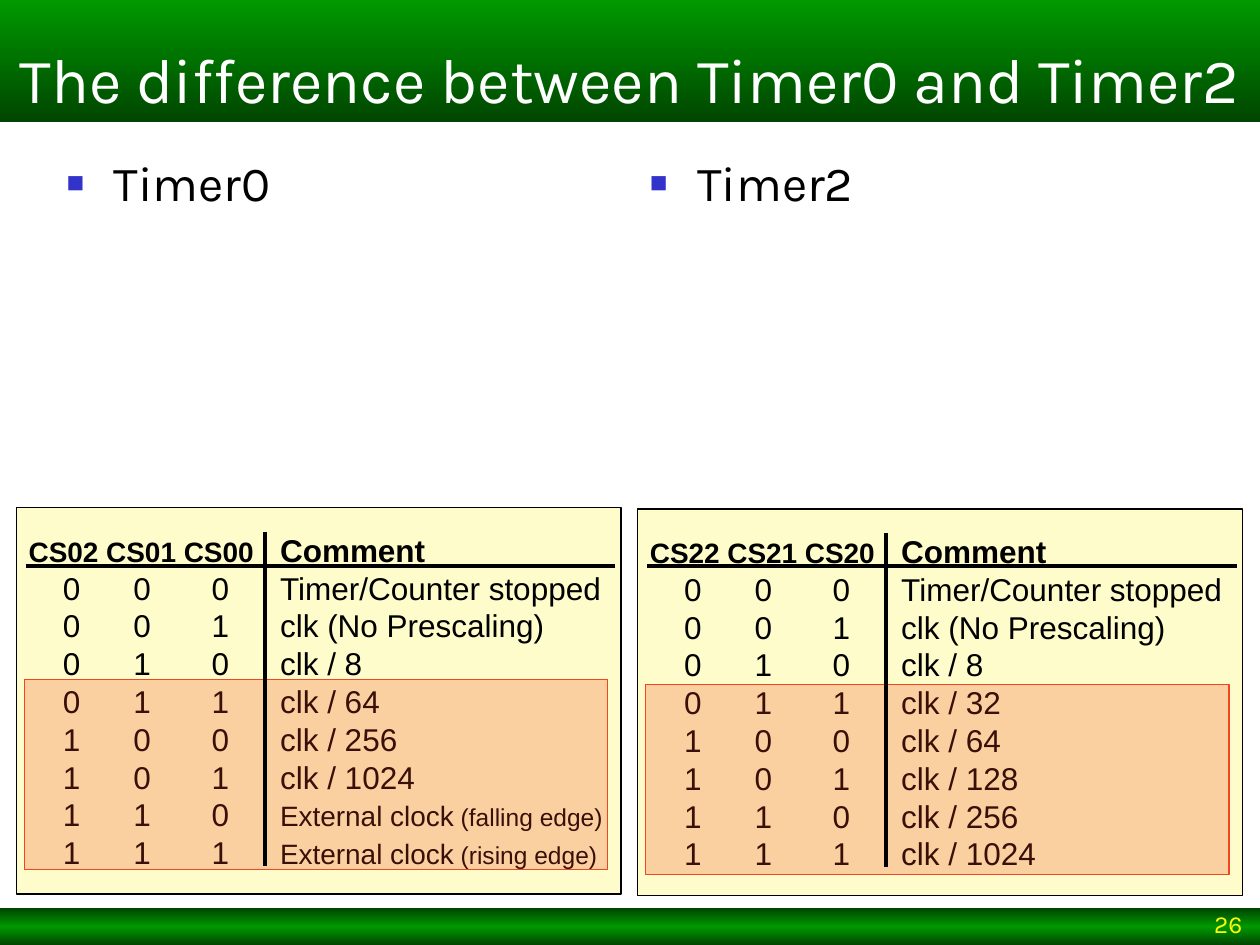
import copy

import pptx
import pptx.dml.color
import pptx.enum.shapes
import pptx.enum.text
import pptx.oxml
import pptx.oxml.ns
import pptx.util

RGBColor = pptx.dml.color.RGBColor
MSO_SHAPE = pptx.enum.shapes.MSO_SHAPE
ANCHOR = pptx.enum.text.MSO_ANCHOR
ALIGN = pptx.enum.text.PP_ALIGN
Pt = pptx.util.Pt
qn = pptx.oxml.ns.qn

DARK_GREEN = RGBColor(0x00, 0x46, 0x00)
GREEN = RGBColor(0x00, 0x99, 0x00)
WHITE = RGBColor(0xFF, 0xFF, 0xFF)
BLACK = RGBColor(0x00, 0x00, 0x00)
CREAM = RGBColor(0xFE, 0xFC, 0xCA)
ORANGE = RGBColor(0xF2, 0x45, 0x22)
YELLOW = RGBColor(0xFF, 0xFB, 0x0B)
BULLET_BLUE = "3333CC"

deck = pptx.Presentation()
deck.slide_width = pptx.util.Inches(10)
deck.slide_height = pptx.util.Inches(7.5)
slide = deck.slides.add_slide(deck.slide_layouts[6])
shapes = slide.shapes

# Grid of 100 columns by 100 rows
COL = deck.slide_width / 100
ROW = deck.slide_height / 100


def cell(left, top, width, height):
    return [round(v) for v in (left * COL, top * ROW, width * COL, height * ROW)]


def write_text(paragraph, text, size=18, font="Arial", color=BLACK, bold=False, align=ALIGN.LEFT):
    paragraph.alignment = align
    run = paragraph.add_run()
    run.text = text
    run.font.size = Pt(size)
    run.font.name = font
    run.font.color.rgb = color
    run.font.bold = bold


# Green bars: footer and title
bars = []
for top, height, colors in (
    (96.13, 3.87, (DARK_GREEN, GREEN, DARK_GREEN)),
    (0, 12.93, (GREEN, DARK_GREEN)),
):
    bar = shapes.add_shape(MSO_SHAPE.RECTANGLE, *cell(0, top, 100, height))
    bar.shadow.inherit = False
    bar.line.fill.background()
    bar.fill.gradient()
    bar.fill.gradient_angle = 270
    stop_list = bar.fill._fill._gradFill.find(qn("a:gsLst"))
    if len(colors) == 3:
        stop_list.insert(1, copy.deepcopy(stop_list[0]))
    for i, (stop, color) in enumerate(zip(bar.fill.gradient_stops, colors)):
        stop.position = i / (len(colors) - 1)
        stop.color.rgb = color
    bars.append(bar)

title = bars[1].text_frame
title.word_wrap = True
title.vertical_anchor = ANCHOR.BOTTOM
write_text(title.paragraphs[0], "The difference between Timer0 and Timer2",
           size=36, font="Karla", color=WHITE, align=ALIGN.CENTER)

# Timer headings
for left, timer in ((4.3, "Timer0"), (50.6, "Timer2")):
    heading = shapes.add_textbox(*cell(left, 14.93, 45.4, 25.6)).text_frame
    heading.word_wrap = True
    heading.margin_top = round(1.2 * ROW)
    bullet = heading.paragraphs[0]
    props = bullet._p.get_or_add_pPr()
    props.set("marL", str(round(3.75 * COL)))
    props.set("indent", str(round(-3.75 * COL)))
    for tag, attribute, value in (("buClr", None, None), ("buSzPct", "val", "60000"),
                                  ("buFont", "typeface", "Arial"), ("buChar", "char", "■")):
        element = pptx.oxml.ns.qn("a:" + tag)
        element = props.makeelement(element, {attribute: value} if attribute else {})
        if tag == "buClr":
            element.append(element.makeelement(qn("a:srgbClr"), {"val": BULLET_BLUE}))
        props.append(element)
    write_text(bullet, timer, size=28, font="Karla")

# Clock select panels: left, top, highlight top, bit names, comments by code
COMMON = ["Timer/Counter stopped", "clk (No Prescaling)", "clk / 8"]
panels = (
    (1.3, 53.73, 71.87, "CS02 CS01 CS00",
     COMMON + ["clk / 64", "clk / 256", "clk / 1024",
               ("External clock", " (falling edge)"), ("External clock", " (rising edge)")]),
    (50.6, 53.87, 72.4, "CS22 CS21 CS20",
     COMMON + ["clk / 32", "clk / 64", "clk / 128", "clk / 256", "clk / 1024"]),
)
TAB_STOPS = ((3.4, "ctr"), (9, "ctr"), (15.2, "ctr"), (19.95, "l"))

for left, top, highlight_top, bit_names, comments in panels:
    panel = shapes.add_shape(MSO_SHAPE.RECTANGLE, *cell(left, top, 48, 40.87))
    panel.shadow.inherit = False
    panel.fill.solid()
    panel.fill.fore_color.rgb = CREAM
    panel.line.color.rgb = BLACK
    panel.line.width = Pt(0.75)
    frame = panel.text_frame
    frame.word_wrap = True
    frame.margin_right = 0
    frame.vertical_anchor = ANCHOR.MIDDLE

    lines = [[(bit_names, 16, True), ("\tComment", 18, True)]]
    for code, comment in enumerate(comments):
        bits = "".join("\t" + bit for bit in f"{code:03b}") + "\t"
        if isinstance(comment, tuple):
            lines.append([(bits, 18, False), (comment[0], 16, False), (comment[1], 14, False)])
        else:
            lines.append([(bits + comment, 18, False)])

    for i, line in enumerate(lines):
        paragraph = frame.add_paragraph() if i else frame.paragraphs[0]
        props = paragraph._p.get_or_add_pPr()
        tabs = props.makeelement(qn("a:tabLst"), {})
        for position, kind in TAB_STOPS:
            tabs.append(tabs.makeelement(qn("a:tab"), {"pos": str(round(position * COL)), "algn": kind}))
        props.append(tabs)
        for text, size, bold in line:
            write_text(paragraph, text, size=size, bold=bold)

    # Header rule, highlight over the differing rows, column rule
    highlight = None
    for x1, y1, x2, y2 in ((left + 47.55, 59.87, left + 0.75, 59.87),
                           (left + 19.75, top + 2.53, left + 19.75, top + 37.93)):
        if y1 != y2:
            highlight = shapes.add_shape(MSO_SHAPE.RECTANGLE, *cell(left + 0.65, highlight_top, 46.3, 20.13))
            highlight.shadow.inherit = False
            highlight.fill.solid()
            highlight.fill.fore_color.rgb = ORANGE
            tint = highlight.fill._xPr.find(qn("a:solidFill"))[0]
            tint.append(tint.makeelement(qn("a:alpha"), {"val": "24000"}))
            highlight.line.color.rgb = ORANGE
            highlight.line.width = Pt(0.75)
        rule = shapes.add_connector(pptx.enum.shapes.MSO_CONNECTOR.STRAIGHT, *cell(x1, y1, x2, y2))
        rule.line.color.rgb = BLACK
        rule.line.width = Pt(2.25)
        outline = rule._element.spPr
        outline.append(outline.makeelement(qn("a:effectLst"), {}))

# Page number
page = shapes.add_textbox(*cell(78.3, 96.27, 21.3, 3.73)).text_frame
page.word_wrap = True
page.vertical_anchor = ANCHOR.BOTTOM
write_text(page.paragraphs[0], "26", size=14, font="Karla", color=YELLOW, align=ALIGN.RIGHT)

deck.save("out.pptx")
